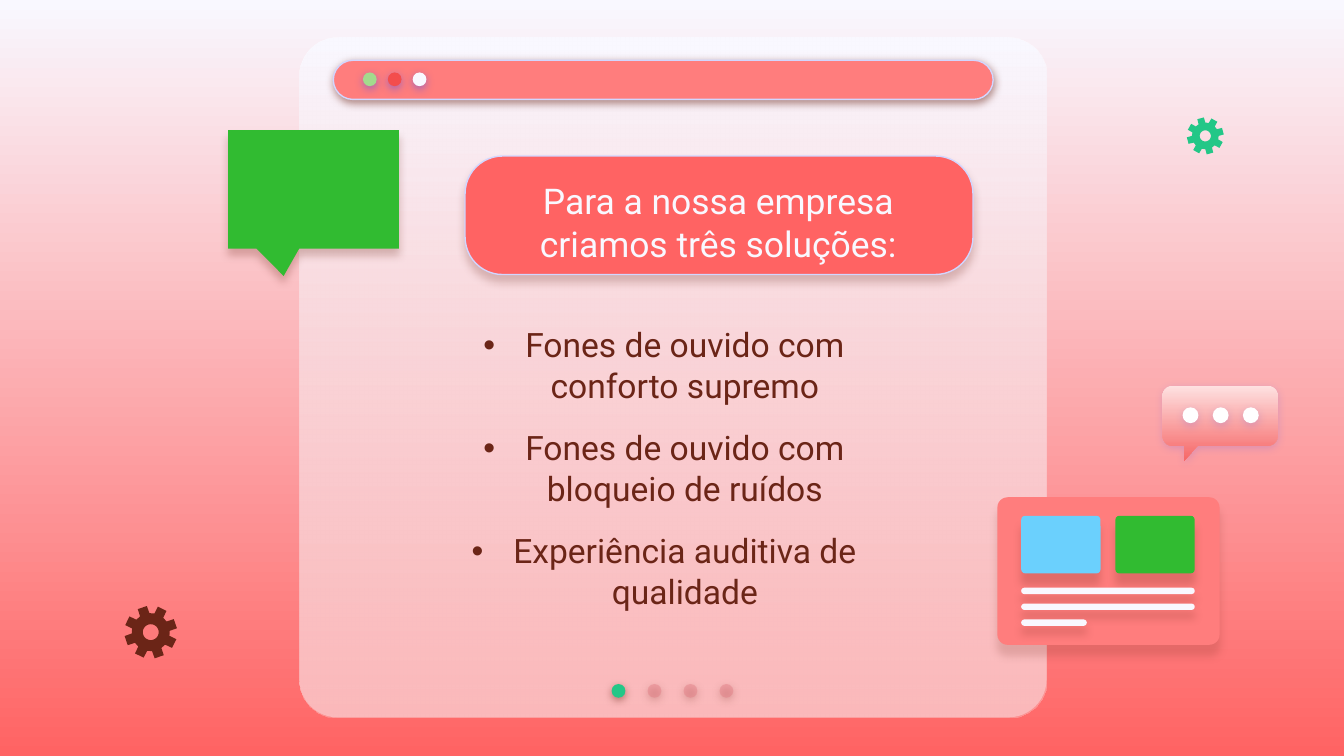
from dataclasses import dataclass
from math import cos, radians, sin
from typing import NamedTuple, Optional

from lxml import etree
from pptx import Presentation
from pptx.dml.color import RGBColor
from pptx.enum.shapes import MSO_SHAPE
from pptx.enum.text import MSO_ANCHOR, MSO_AUTO_SIZE, PP_ALIGN
from pptx.oxml.ns import qn
from pptx.util import Cm, Pt

ROUND = MSO_SHAPE.ROUNDED_RECTANGLE
OVAL = MSO_SHAPE.OVAL
CALLOUT = MSO_SHAPE.RECTANGULAR_CALLOUT
CENTER = PP_ALIGN.CENTER
MIDDLE = MSO_ANCHOR.MIDDLE
NO_FIT = MSO_AUTO_SIZE.NONE


@dataclass(frozen=True)
class Theme:
    font: str = "Roboto"
    head: int = 19
    body: int = 18
    pale: str = "F9F8FF"
    white: str = "FFFFFF"
    coral: str = "FF6363"
    salmon: str = "FF7D7D"
    haze: str = "FCA1A1"
    rose: str = "E27B83"
    blush: str = "FEE1E1"
    ember: str = "F66767"
    red: str = "F34D4D"
    lime: str = "A3DA8D"
    green: str = "31BB31"
    mint: str = "23C787"
    sky: str = "6BD0FD"
    edge: str = "D2D6FF"
    brown: str = "6B2517"
    violet: str = "5352EE"


T = Theme()


class Shade(NamedTuple):
    color: str
    alpha: int
    drop: float
    blur: float = 4.5


@dataclass(frozen=True)
class Look:
    fill: str
    end: Optional[str] = None
    alpha: int = 100
    edge: Optional[str] = None
    shade: Optional[Shade] = None


class Box(NamedTuple):
    left: float
    top: float
    width: float
    height: float


class Gear(NamedTuple):
    x: float
    y: float
    radius: float
    turn: float
    color: str


def paint(fill, look: Look) -> None:
    if look.end:
        fill.gradient()
        fill.gradient_angle = 270
        for stop, color, place in zip(fill.gradient_stops, (look.fill, look.end), (0, 1)):
            stop.color.rgb = RGBColor.from_string(color)
            stop.position = place
    else:
        fill.solid()
        fill.fore_color.rgb = RGBColor.from_string(look.fill)


def fade(node, alpha: int) -> None:
    etree.SubElement(node, qn("a:alpha"), val=str(alpha * 1000))


def style(shape, look: Look) -> None:
    paint(shape.fill, look)
    props = shape.element.spPr
    if look.alpha < 100:
        fade(list(props.iter(qn("a:srgbClr")))[-1], look.alpha)
    if look.edge:
        shape.line.color.rgb = RGBColor.from_string(look.edge)
        shape.line.width = Pt(0.75)
    else:
        shape.line.fill.background()
    shape.shadow.inherit = False
    if look.shade:
        shade = look.shade
        outer = etree.SubElement(
            props.find(qn("a:effectLst")), qn("a:outerShdw"),
            blurRad=str(Pt(shade.blur)), dist=str(Pt(shade.drop)),
            dir="5400000", algn="bl", rotWithShape="0")
        fade(etree.SubElement(outer, qn("a:srgbClr"), val=shade.color), shade.alpha)


def draw(slide, kind, box: Box, look: Look, *adjust: float) -> None:
    shape = slide.shapes.add_shape(kind, *map(Cm, box))
    for index, value in enumerate(adjust):
        shape.adjustments[index] = value
    style(shape, look)


def dots(slide, left: float, top: float, size: float, step: float, looks: list[Look]) -> None:
    for index, look in enumerate(looks):
        draw(slide, OVAL, Box(left + step * index, top, size, size), look)


def arc(x: float, y: float, radius: float, start: int, stop: int, step: int = 10) -> list:
    return [(x + radius * cos(radians(a)), y + radius * sin(radians(a)))
            for a in range(start, stop + 1, step)]


def trace(slide, rings: list, look: Look) -> None:
    rings = [[(Cm(x), Cm(y)) for x, y in ring] for ring in rings]
    pen = slide.shapes.build_freeform(*rings[0][0])
    for index, ring in enumerate(rings):
        if index:
            pen.move_to(*ring[0])
        pen.add_line_segments(ring[1:], close=True)
    style(pen.convert_to_shape(), look)


def cog(slide, gear: Gear) -> None:
    rim = []
    for tooth in range(8):
        mid = gear.turn - 90 + tooth * 45
        for offset, reach in ((-15, 0.72), (-10.5, 1), (10.5, 1), (15, 0.72)):
            angle = radians(mid + offset)
            rim.append((gear.x + gear.radius * reach * cos(angle),
                        gear.y + gear.radius * reach * sin(angle)))
    hole = arc(gear.x, gear.y, gear.radius * 0.3, 0, 350)[::-1]
    trace(slide, [rim, hole], Look(gear.color))


def bubble(slide, box: Box, radius: float, look: Look) -> None:
    left, top = box.left + radius, box.top + radius
    base = box.top + box.height
    right, low = box.left + box.width - radius, base - radius
    tail = [(22.63, base), (22.38, base + 0.28), (22.38, base)]
    ring = (arc(right, top, radius, 270, 360) + arc(right, low, radius, 0, 90) + tail
            + arc(left, low, radius, 90, 180) + arc(left, top, radius, 180, 270))
    trace(slide, [ring], look)


def write(shape, lines: list[str], *, size: int, color: str, bullet: str = "") -> None:
    frame = shape.text_frame
    frame.word_wrap = True
    frame.auto_size = NO_FIT
    frame.vertical_anchor = MIDDLE
    frame.margin_left = frame.margin_right = Cm(0.25)
    frame.margin_top = frame.margin_bottom = Cm(0.25)
    for index, line in enumerate(lines):
        para = frame.add_paragraph() if index else frame.paragraphs[0]
        para.alignment = CENTER
        para.line_spacing = 1.0
        para.space_before = Pt(0)
        para.space_after = Pt(12)
        run = para.add_run()
        run.text = line
        run.font.name = T.font
        run.font.size = Pt(size)
        run.font.color.rgb = RGBColor.from_string(color)
        if bullet:
            props = para._p.get_or_add_pPr()
            props.set("marL", str(Cm(0.79)))
            props.set("indent", str(Cm(-0.79)))
            tint = etree.SubElement(props, qn("a:buClr"))
            etree.SubElement(tint, qn("a:srgbClr"), val=color)
            etree.SubElement(props, qn("a:buFont"), typeface="Arial")
            etree.SubElement(props, qn("a:buChar"), char=bullet)


def window(slide) -> None:
    panel = Box(5.66, 0.71, 14.12, 12.85)
    draw(slide, ROUND, panel, Look(T.pale), 0.056)
    draw(slide, ROUND, panel, Look(T.pale, end=T.haze, alpha=72), 0.056)
    warm, cool = Shade(T.brown, 50, 1.5), Shade(T.violet, 50, 1.5)
    pages = [Look(T.mint, shade=warm)] + [Look(T.rose, alpha=44, shade=warm)] * 3
    dots(slide, 11.56, 12.93, 0.26, 0.68, pages)
    draw(slide, ROUND, Box(6.3, 1.14, 12.47, 0.74), Look(T.salmon, edge=T.edge, shade=warm), 0.5)
    keys = [Look(color, shade=cool) for color in (T.lime, T.red, T.pale)]
    dots(slide, 6.86, 1.37, 0.26, 0.47, keys)


def card(slide) -> None:
    draw(slide, ROUND, Box(18.85, 9.4, 4.2, 2.79),
         Look(T.salmon, shade=Shade(T.brown, 17, 6)), 0.07)
    for index, color in enumerate((T.sky, T.green)):
        draw(slide, ROUND, Box(19.3 + 1.78 * index, 9.75, 1.5, 1.09),
             Look(color, shade=Shade(T.brown, 20, 6)), 0.07)
    for index, width in enumerate((3.28, 3.28, 1.24)):
        draw(slide, ROUND, Box(19.3, 11.11 + 0.3 * index, width, 0.12),
             Look(T.pale, shade=Shade(T.brown, 21, 4.5)), 0.5)


def main() -> None:
    deck = Presentation()
    deck.slide_width, deck.slide_height = Cm(25.4), Cm(14.29)
    slide = deck.slides.add_slide(deck.slide_layouts[5])
    paint(slide.background.fill, Look(T.pale, end=T.coral))
    window(slide)
    draw(slide, CALLOUT, Box(4.31, 2.46, 3.23, 2.24),
         Look(T.green, shade=Shade(T.brown, 25, 3.8)), -0.174, 0.731)
    draw(slide, ROUND, Box(8.79, 2.95, 9.6, 2.24),
         Look(T.coral, edge=T.edge, shade=Shade(T.brown, 24, 3.8)), 0.317)
    title = slide.shapes.title
    title.left, title.top, title.width, title.height = map(Cm, Box(9.37, 3.2, 8.41, 1.98))
    write(title, ["Para a nossa empresa criamos três soluções:"], size=T.head, color=T.pale)
    title.element.getparent().append(title.element)
    card(slide)
    glow = Shade(T.violet, 18, 1.5)
    bubble(slide, Box(21.97, 7.29, 2.18, 1.14), 0.2, Look(T.blush, end=T.ember, shade=glow))
    dots(slide, 22.35, 7.7, 0.3, 0.57, [Look(T.white, shade=glow)] * 3)
    for gear in (Gear(2.85, 11.95, 0.5, -19, T.brown), Gear(22.78, 2.57, 0.35, -15, T.mint)):
        cog(slide, gear)
    body = slide.shapes.add_textbox(*map(Cm, Box(7.75, 6.15, 9.6, 5.38)))
    write(body, ["Fones de ouvido com conforto supremo",
                 "Fones de ouvido com bloqueio de ruídos",
                 "Experiência auditiva de qualidade"],
          size=T.body, color=T.brown, bullet="•")
    deck.save("out.pptx")


if __name__ == "__main__":
    main()
